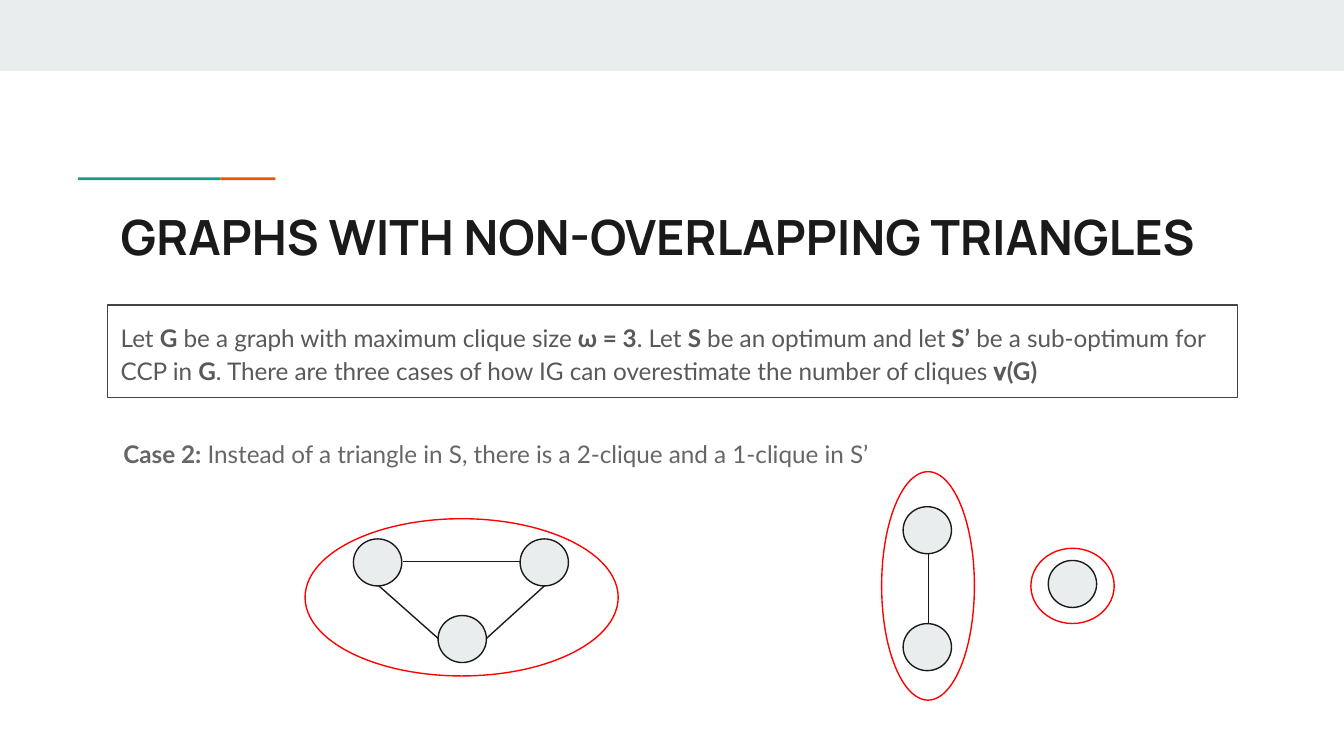
from pptx import Presentation
from pptx.dml.color import RGBColor
from pptx.enum.shapes import MSO_CONNECTOR, MSO_SHAPE
from pptx.enum.text import MSO_ANCHOR, PP_ALIGN
from pptx.oxml.ns import qn
from pptx.util import Inches, Pt
from lxml import etree

COLORS = {"band": "E9EDEE", "teal": "1A9988", "orange": "EB5600", "ink": "1A1A1A",
          "clique": "FF0000", "frame": "434343", "body": "595959", "case": "666666"}
NODE_W, NODE_H = 0.36, 0.35

# Widescreen slide, 16:9
prs = Presentation()
prs.slide_width = Inches(10)
prs.slide_height = Inches(10 * 9 / 16)
slide = prs.slides.add_slide(prs.slide_layouts[6])


def add_figure(kind, box, fill=None, line=None):
    figure = slide.shapes.add_shape(kind, *map(Inches, box))
    figure.shadow.inherit = False
    if fill:
        figure.fill.solid()
        figure.fill.fore_color.rgb = RGBColor.from_string(COLORS[fill])
    else:
        figure.fill.background()
    if line:
        figure.line.color.rgb = RGBColor.from_string(COLORS[line])
        figure.line.width = Pt(0.75)
    else:
        figure.line.fill.background()
    return figure


def write(figure, runs, size, font, color):
    frame = figure.text_frame
    frame_format = {"word_wrap": True, "vertical_anchor": MSO_ANCHOR.TOP,
                    "margin_left": Inches(0.1), "margin_right": Inches(0.1),
                    "margin_top": Inches(0.1), "margin_bottom": Inches(0.1)}
    for name, value in frame_format.items():
        setattr(frame, name, value)
    paragraph = frame.paragraphs[0]
    paragraph.alignment = PP_ALIGN.LEFT
    for text, bold in runs:
        run = paragraph.add_run()
        run.text = text
        for name, value in {"size": Pt(size), "name": font, "bold": bold}.items():
            setattr(run.font, name, value)
        run.font.color.rgb = RGBColor.from_string(COLORS[color])
    return paragraph


# Top band and two-colour accent rule
for box, color in [((0, 0, 10, 0.53), "band"),
                   ((0.58, 1.32, 1.06, 0.02), "teal"),
                   ((1.64, 1.32, 0.41, 0.02), "orange")]:
    add_figure(MSO_SHAPE.RECTANGLE, box, fill=color)

# Title
title = slide.shapes.add_textbox(*map(Inches, (0.8, 1.44, 8.78, 0.59)))
write(title, [("GRAPHS WITH NON-OVERLAPPING TRIANGLES", True)], 26, "Manrope", "ink")

# Framed statement
statement = add_figure(MSO_SHAPE.RECTANGLE, (0.8, 2.27, 8.41, 0.69), line="frame")
statement_text = write(statement, [
    ("Let ", False), ("G", True),
    (" be a graph with maximum clique size ", False), ("ω = 3", True),
    (". Let ", False), ("S", True),
    (" be an optimum and let ", False), ("S’", True),
    (" be a sub-optimum for CCP in ", False), ("G", True),
    (". There are three cases of how IG can overestimate the number of cliques 𝛎", False),
    ("(G)", True)], 13, "Lato", "body")
statement_text.line_spacing = 1.15
statement_text.space_after = Pt(16)

# Case description
case = slide.shapes.add_textbox(*map(Inches, (0.82, 3.17, 8.39, 2.04)))
write(case, [("Case 2:", True),
             (" Instead of a triangle in S, there is a 2-clique and a 1-clique in S’", False)],
      13, "Lato", "case")

# Clique outlines: triangle, 2-clique, 1-clique
for box in [(2.27, 3.86, 2.33, 1.17), (6.56, 3.51, 0.69, 1.7), (7.67, 4.08, 0.62, 0.56)]:
    add_figure(MSO_SHAPE.OVAL, box, line="clique")

# Graph nodes
for left, top in [(2.63, 4.01), (3.87, 4.01), (3.26, 4.58),
                  (6.72, 3.77), (6.72, 4.64), (7.8, 4.17)]:
    add_figure(MSO_SHAPE.OVAL, (left, top, NODE_W, NODE_H), fill="band", line="ink")

# Graph edges
for ends in [(3, 4.18, 3.87, 4.18), (3.62, 4.75, 4.05, 4.36),
             (2.82, 4.36, 3.26, 4.75), (6.91, 4.12, 6.91, 4.64)]:
    edge = slide.shapes.add_connector(MSO_CONNECTOR.STRAIGHT, *map(Inches, ends))
    edge.line.color.rgb = RGBColor.from_string(COLORS["ink"])
    edge.line.width = Pt(0.75)
    etree.SubElement(edge._element.spPr, qn("a:effectLst"))

prs.save("out.pptx")
